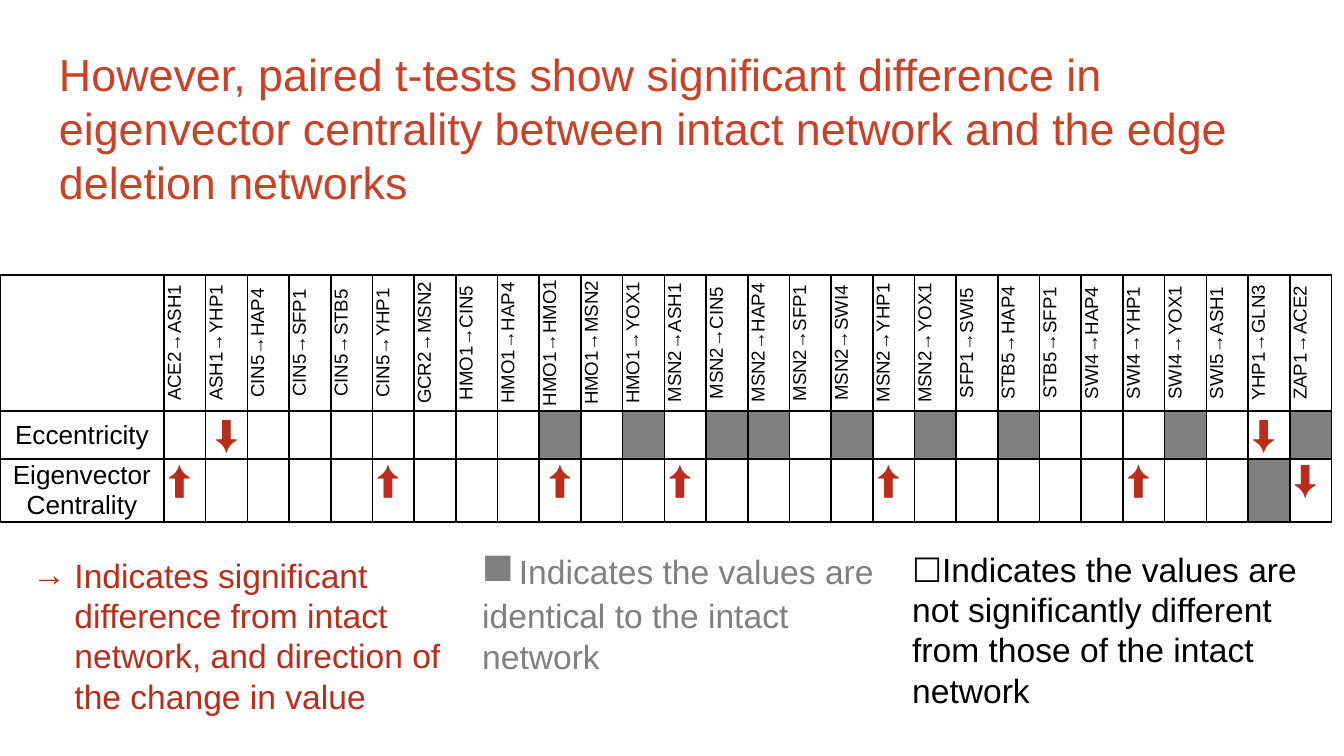
from dataclasses import dataclass

from lxml import etree
from pptx import Presentation
from pptx.dml.color import RGBColor
from pptx.enum.text import MSO_ANCHOR, MSO_AUTO_SIZE, PP_ALIGN
from pptx.oxml.ns import qn
from pptx.util import Emu, Pt

CENTER, LEFT = PP_ALIGN.CENTER, PP_ALIGN.LEFT
TOP, MIDDLE = MSO_ANCHOR.TOP, MSO_ANCHOR.MIDDLE
GROW, FIXED = MSO_AUTO_SIZE.SHAPE_TO_FIT_TEXT, MSO_AUTO_SIZE.NONE
TITLE_AND_CONTENT = 1
EMU_PER_PX = 914400 / 134.4


@dataclass(frozen=True)
class Theme:
    font: str = "Arial"
    symbol_font: str = "Noto Sans CJK JP"
    title: str = "CC4125"
    changed: str = "BB2C1C"
    identical: str = "808080"
    identical_cell: str = "7F7F7F"
    text: str = "000000"
    white: str = "FFFFFF"
    title_size: int = 24
    legend_size: int = 18
    square_size: int = 28
    arrow_size: int = 20
    label_size: int = 14
    edge_size: int = 10
    border_width: int = 1


THEME = Theme()

TITLE = (
    "However, paired t-tests show significant difference in eigenvector "
    "centrality between intact network and the edge deletion networks"
)
EDGES = [
    f"{source}→{target}"
    for source, targets in (
        ("ACE2", "ASH1"),
        ("ASH1", "YHP1"),
        ("CIN5", "HAP4 SFP1 STB5 YHP1"),
        ("GCR2", "MSN2"),
        ("HMO1", "CIN5 HAP4 HMO1 MSN2 YOX1"),
        ("MSN2", "ASH1 CIN5 HAP4 SFP1 SWI4 YHP1 YOX1"),
        ("SFP1", "SWI5"),
        ("STB5", "HAP4 SFP1"),
        ("SWI4", "HAP4 YHP1 YOX1"),
        ("SWI5", "ASH1"),
        ("YHP1", "GLN3"),
        ("ZAP1", "ACE2"),
    )
    for target in targets.split()
]
MEASURES = (
    ("Eccentricity", ".D.......#.#.##.#.#.#...#.d#", MIDDLE),
    ("Eigenvector Centrality", "u....u...U..u....u.....u..#d", TOP),
)
ARROWS = {"U": "⬆", "D": "⬇", "u": "⬆ ", "d": "⬇ "}
IDENTICAL = "#"


def px(length):
    return Emu(round(length * EMU_PER_PX))


def add_run(paragraph, text, size, color, font=THEME.font):
    run = paragraph.add_run()
    run.text = text
    run.font.name = font
    run.font.size = Pt(size)
    run.font.color.rgb = RGBColor.from_string(color)
    if font == THEME.symbol_font:
        properties = run.font._element
        etree.SubElement(properties, qn("a:ea"), typeface=font)
        etree.SubElement(properties, qn("a:sym"), typeface=font)


def place(shape, left, top, width, height):
    shape.left, shape.top = px(left), px(top)
    shape.width, shape.height = px(width), px(height)


def format_frame(frame, auto_size):
    frame.word_wrap = True
    frame.auto_size = auto_size
    frame.vertical_anchor = TOP
    paragraph = frame.paragraphs[0]
    paragraph.alignment = LEFT
    paragraph.space_before = Pt(0)
    return paragraph


def add_title(slide):
    title = slide.shapes.title
    place(title, 46, 34, 1252, 84)
    frame = title.text_frame
    frame.margin_left = frame.margin_right = px(13)
    frame.margin_top = frame.margin_bottom = px(13)
    paragraph = format_frame(frame, FIXED)
    add_run(paragraph, TITLE, THEME.title_size, THEME.title)


def add_arrow_legend(slide):
    body = slide.placeholders[1]
    place(body, 19, 548, 476, 176)
    paragraph = format_frame(body.text_frame, GROW)
    properties = paragraph._p.get_or_add_pPr()
    properties.set("marL", str(px(42)))
    properties.set("indent", str(-px(42)))
    etree.SubElement(properties, qn("a:buFont"), typeface=THEME.font)
    etree.SubElement(properties, qn("a:buChar"), char="→")
    add_run(
        paragraph,
        "Indicates significant difference from intact network, "
        "and direction of the change in value",
        THEME.legend_size,
        THEME.changed,
    )


def add_legend(slide, bounds, runs):
    box = slide.shapes.add_textbox(0, 0, 0, 0)
    place(box, *bounds)
    paragraph = format_frame(box.text_frame, GROW)
    for run in runs:
        add_run(paragraph, *run)


def format_cell(cell, fill, anchor):
    cell.margin_left = cell.margin_right = 0
    cell.margin_top = cell.margin_bottom = 0
    cell.vertical_anchor = anchor
    cell.fill.solid()
    cell.fill.fore_color.rgb = RGBColor.from_string(fill)
    properties = cell._tc.get_or_add_tcPr()
    for index, side in enumerate(("lnL", "lnR", "lnT", "lnB")):
        line = etree.Element(qn(f"a:{side}"), w=str(Pt(THEME.border_width)))
        solid = etree.SubElement(line, qn("a:solidFill"))
        etree.SubElement(solid, qn("a:srgbClr"), val=THEME.text)
        properties.insert(index, line)


def fill_cell(cell, text="", size=THEME.edge_size, color=THEME.text,
              fill=THEME.white, anchor=MIDDLE):
    format_cell(cell, fill, anchor)
    paragraph = cell.text_frame.paragraphs[0]
    paragraph.alignment = CENTER
    if text:
        add_run(paragraph, text, size, color)
    else:
        paragraph.font.size = Pt(size)


def add_edge_table(slide):
    left, top, width, label_width = 0, 275, 1332, 164
    row_heights = (136, 48, 59)
    frame = slide.shapes.add_table(
        len(row_heights), len(EDGES) + 1,
        px(left), px(top), px(width), px(sum(row_heights)),
    )
    table = frame.table
    table.first_row = table.horz_banding = False
    for row, height in zip(table.rows, row_heights):
        row.height = px(height)
    for column in table.columns:
        column.width = Emu(px(width - label_width) // len(EDGES))
    table.columns[0].width = px(label_width)

    fill_cell(table.cell(0, 0))
    for column, edge in enumerate(EDGES, 1):
        cell = table.cell(0, column)
        fill_cell(cell, edge)
        cell._tc.get_or_add_tcPr().set("vert", "vert270")
    for row, (label, marks, anchor) in enumerate(MEASURES, 1):
        fill_cell(table.cell(row, 0), label, THEME.label_size)
        for column, mark in enumerate(marks, 1):
            fill = THEME.identical_cell if mark == IDENTICAL else THEME.white
            fill_cell(table.cell(row, column), ARROWS.get(mark, ""),
                      THEME.arrow_size if mark in ARROWS else THEME.edge_size,
                      THEME.changed, fill, anchor)


def main():
    presentation = Presentation()
    presentation.slide_width, presentation.slide_height = px(1344), px(756)
    layout = presentation.slide_layouts[TITLE_AND_CONTENT]
    slide = presentation.slides.add_slide(layout)
    add_edge_table(slide)
    add_title(slide)
    add_arrow_legend(slide)
    add_legend(slide, (469, 526, 425, 159), (
        ("■", THEME.square_size, THEME.identical),
        (" ", THEME.edge_size, THEME.identical),
        ("Indicates the values are identical to the intact network",
         THEME.legend_size, THEME.identical),
    ))
    add_legend(slide, (899, 542, 425, 176), (
        ("☐", THEME.legend_size, THEME.text, THEME.symbol_font),
        ("Indicates the values are not significantly different "
         "from those of the intact network", THEME.legend_size, THEME.text),
    ))
    presentation.save("out.pptx")


if __name__ == "__main__":
    main()
